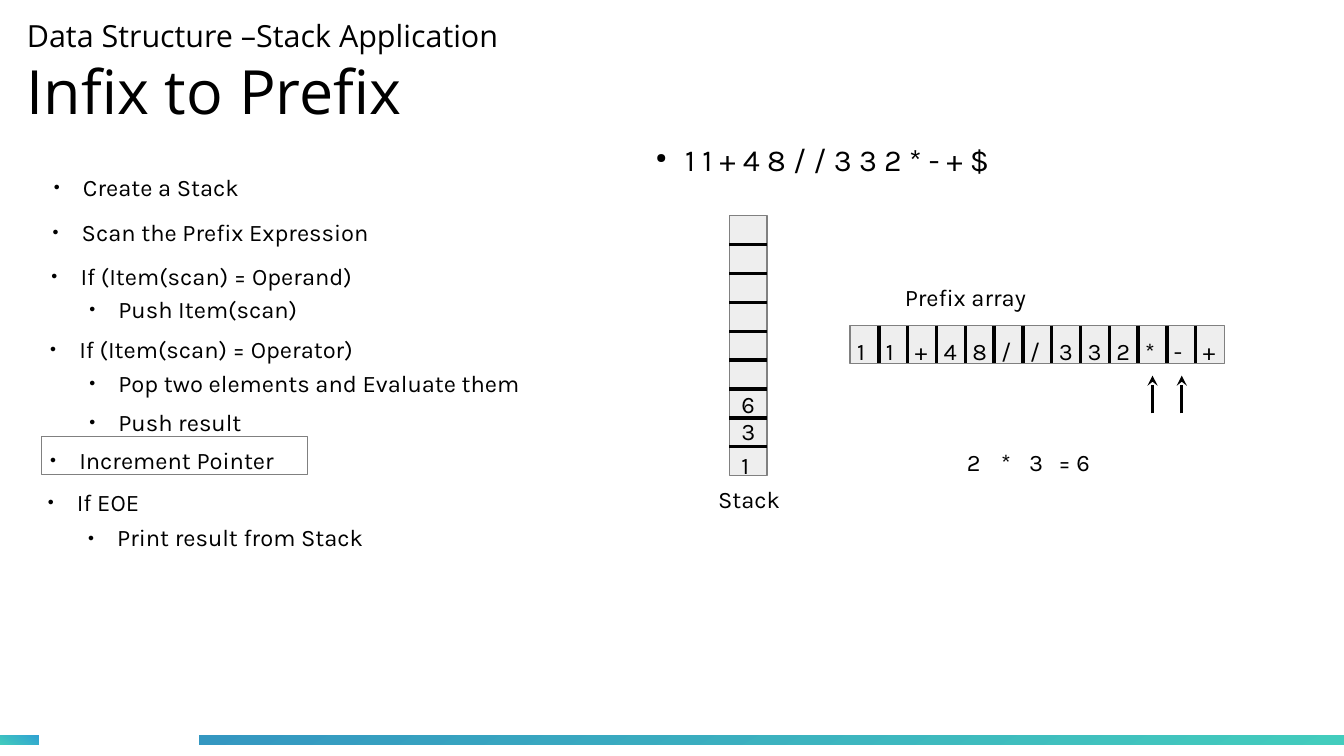
from pptx import Presentation
from pptx.dml.color import RGBColor as RGB
from pptx.enum.shapes import MSO_CONNECTOR as CONN, MSO_SHAPE as SHAPE
from pptx.enum.text import MSO_ANCHOR as ANCHOR, MSO_AUTO_SIZE as AUTO, PP_ALIGN as ALIGN
from pptx.oxml.ns import qn
from pptx.util import Inches, Pt
from lxml.etree import SubElement

COLORS = {"text": "000000", "cell": "EEEEEE", "border": "808080", "white": "FFFFFF",
          "teal": "43CCBD", "sky": "30A2D2", "blue": "3497C1"}
HANG = 0.24


def rgb(name):
    return RGB.from_string(COLORS[name])


class SlideBuilder:
    font, size = "Karla", 14

    def __init__(self, prs):
        self.s = prs.slides.add_slide(prs.slide_layouts[1])

    def run(self, p, text, size=None, font=None):
        r = p.add_run()
        r.text = text
        r.font.name = font or self.font
        r.font.size = Pt(size or self.size)
        r.font.color.rgb = rgb("text")

    def bullet(self, p, margin=HANG):
        pPr = p._p.get_or_add_pPr()
        pPr.set("marL", str(Inches(margin)))
        pPr.set("indent", str(Inches(-HANG)))
        SubElement(SubElement(pPr, qn("a:buClr")), qn("a:srgbClr"), val=COLORS["text"])
        SubElement(pPr, qn("a:buSzPct"), val="45000")
        SubElement(pPr, qn("a:buChar"), char="●")

    def placeholder(self, idx, x, y, w, h, inset=(0.1, 0.05), anchor=ANCHOR.TOP):
        sp = self.s.placeholders[idx]
        sp.left, sp.top, sp.width, sp.height = map(Inches, (x, y, w, h))
        sp.element.getparent().append(sp.element)
        tf = sp.text_frame
        tf.auto_size, tf.word_wrap, tf.vertical_anchor = AUTO.NONE, True, anchor
        tf.margin_left = tf.margin_right = Inches(inset[0])
        tf.margin_top = tf.margin_bottom = Inches(inset[1])
        return tf

    def title(self, small, large):
        tf = self.placeholder(0, 0.22, 0.08, 10.02, 1.02, (0, 0), ANCHOR.MIDDLE)
        p = tf.paragraphs[0]
        p.alignment = ALIGN.LEFT
        self.run(p, small, 18, "Open Sans")
        p.add_line_break()
        self.run(p, large, 36, "Open Sans")

    def steps(self, items, x, y, w, h, line_height=0.23):
        tf = self.placeholder(1, x, y, w, h)
        for i, (text, left, pitch) in enumerate(items):
            p = tf.add_paragraph() if i else tf.paragraphs[0]
            p.space_before = Inches(pitch - line_height) if i else Pt(0)
            self.bullet(p, left - x + HANG)
            self.run(p, text)

    def label(self, text, x, y, w=0.32, size=None, bullet=False):
        tf = self.s.shapes.add_textbox(*map(Inches, (x, y, w, 0.36))).text_frame
        tf.word_wrap = True
        p = tf.paragraphs[0]
        if bullet:
            self.bullet(p)
        self.run(p, text, size)

    def box(self, x, y, w, h, fill):
        sp = self.s.shapes.add_shape(SHAPE.RECTANGLE, *map(Inches, (x, y, w, h)))
        sp.shadow.inherit = False
        sp.fill.solid()
        sp.fill.fore_color.rgb = rgb(fill)
        sp.line.color.rgb = rgb("border")
        sp.line.width = Pt(0)
        return sp

    def gradient_bar(self, x, w, colors, angle):
        sp = self.box(x, 6.03, w, 0.08, "white")
        sp.line.fill.background()
        sp.fill.gradient()
        sp.fill.gradient_angle = angle
        for stop, color in zip(sp.fill.gradient_stops, colors):
            stop.color.rgb = rgb(color)

    def line(self, x1, y1, x2, y2, arrow=False):
        c = self.s.shapes.add_connector(CONN.STRAIGHT, *map(Inches, (x1, y1, x2, y2)))
        c.line.color.rgb = rgb("text")
        c.line.width = Pt(0)
        if arrow:
            SubElement(c.line._get_or_add_ln(), qn("a:tailEnd"), type="stealth")
        SubElement(c.element.spPr, qn("a:effectLst"))

    def cells(self, x, y, w, h, count, vertical=False):
        self.box(x, y, w, h, "cell")
        for i in range(1, count):
            if vertical:
                self.line(x, y + i * h / count, x + w, y + i * h / count)
            else:
                self.line(x + i * w / count, y, x + i * w / count, y + h)


def main():
    prs = Presentation()
    prs.slide_width, prs.slide_height = Inches(11.02), Inches(6.2)
    b = SlideBuilder(prs)

    # Footer bars
    b.gradient_bar(0, 0.32, ("teal", "sky"), 60)
    b.gradient_bar(1.63, 9.4, ("blue", "teal"), 300)

    # Title and algorithm: text, left edge, distance from the previous line
    b.title("Data Structure –Stack Application", "Infix to Prefix")
    b.box(0.34, 3.58, 2.18, 0.31, "white")
    b.steps([
        ("Create a Stack", 0.34, 0),
        ("Scan the Prefix Expression", 0.33, 0.36),
        ("If (Item(scan) = Operand)", 0.32, 0.36),
        ("Push Item(scan)", 0.63, 0.27),
        ("If (Item(scan) = Operator)", 0.31, 0.32),
        ("Pop two elements and Evaluate them", 0.63, 0.28),
        ("Push result", 0.63, 0.31),
        ("Increment Pointer", 0.31, 0.31),
        ("If EOE", 0.29, 0.34),
        ("Print result from Stack", 0.62, 0.29),
    ], 0.29, 1.37, 4.5, 3.25)

    # Expression
    b.label("1 1 + 4 8 / / 3 3 2 * - + $", 5.28, 1.11, 3.9, size=18, bullet=True)

    # Stack
    b.cells(5.98, 1.77, 0.31, 2.13, 9, vertical=True)
    for value, y in (("6", 3.15), ("3", 3.37), ("1", 3.65)):
        b.label(value, 5.98, y)
    b.label("Stack", 5.79, 3.93, 0.9)

    # Prefix array with its pointers
    symbols = "11+48//332*-+"
    array_x, array_w = 6.97, 3.07
    b.cells(array_x, 2.67, array_w, 0.31, len(symbols))
    for i, symbol in enumerate(symbols):
        b.label(symbol, array_x - 0.04 + i * array_w / len(symbols), 2.71)
    b.label("Prefix array", 7.32, 2.27, 1.42)
    for x in (9.45, 9.69):
        b.line(x, 3.39, x, 3.08, arrow=True)

    # Current evaluation
    for text, x, w in (("2", 7.83, 0.32), ("*", 8.11, 0.32), ("3", 8.34, 0.32), ("= 6", 8.58, 0.63)):
        b.label(text, x, 3.62, w)

    prs.save("out.pptx")


if __name__ == "__main__":
    main()
